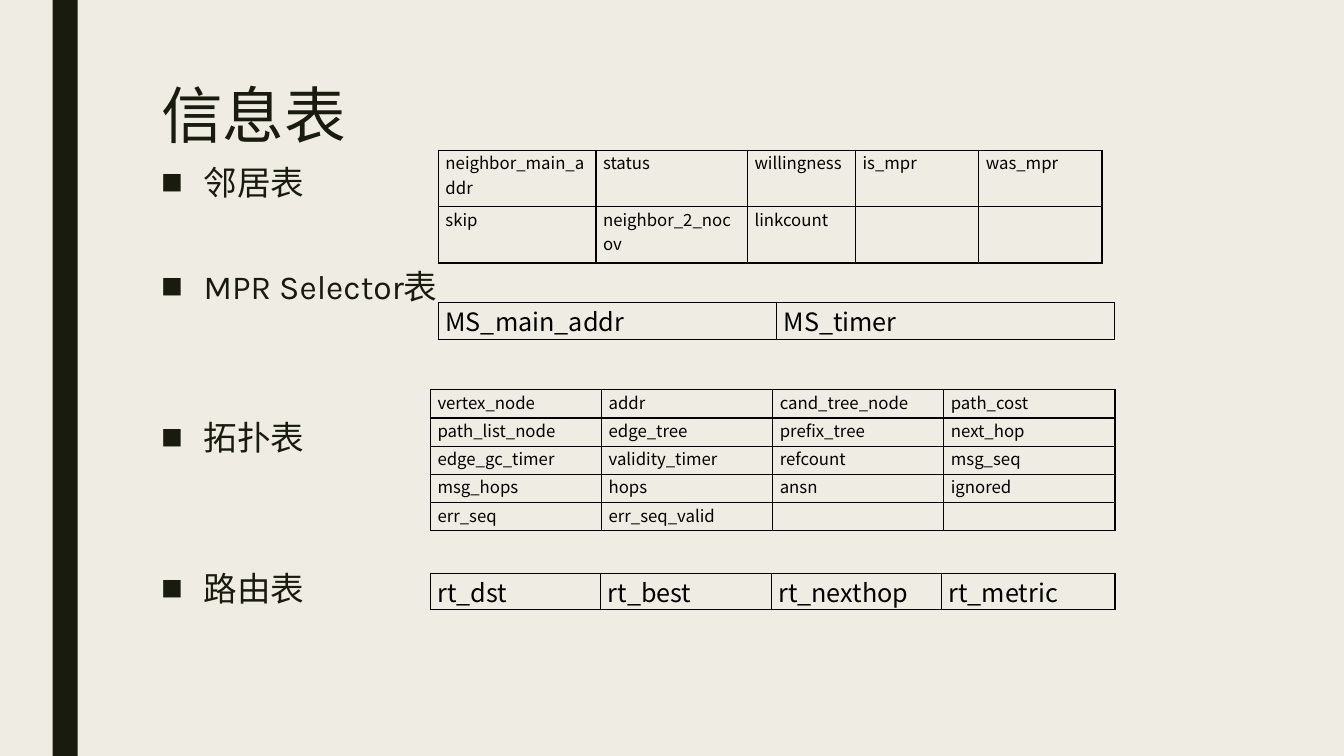
from lxml.etree import SubElement
from pptx import Presentation
from pptx.dml.color import RGBColor
from pptx.enum.shapes import MSO_SHAPE
from pptx.enum.text import MSO_ANCHOR, MSO_AUTO_SIZE
from pptx.oxml.ns import qn
from pptx.util import Inches, Pt

COLORS = {"paper": "EFEDE3", "ink": "191B0E", "border": "080000", "cell": "000000"}
LATIN, CJK = "Karla", "Noto Sans CJK SC"
UNIT = Inches(1 / 12)  # the slide is a grid of 160 columns by 90 rows

# Each list entry: name of the table, space before it in points
ENTRIES = [("邻居表", 0), ("MPR Selector表", 44), ("拓扑表", 78), ("路由表", 78)]

# Each field table: box in grid units, column weights, text size, rows
FIELD_TABLES = [
    ((52.2, 17.9, 79, 13.4), (1.56, 1.5, 1.07, 1.22, 1.22), 12, [
        ("neighbor_main_addr", "status", "willingness", "is_mpr", "was_mpr"),
        ("skip", "neighbor_2_nocov", "linkcount", "", ""),
    ]),
    ((52.2, 36, 80.5, 4.4), (1, 1), 18, [("MS_main_addr", "MS_timer")]),
    ((51.25, 46.4, 81.5, 16.8), (1, 1, 1, 1), 12, [
        ("vertex_node", "addr", "cand_tree_node", "path_cost"),
        ("path_list_node", "edge_tree", "prefix_tree", "next_hop"),
        ("edge_gc_timer", "validity_timer", "refcount", "msg_seq"),
        ("msg_hops", "hops", "ansn", "ignored"),
        ("err_seq", "err_seq_valid", "", ""),
    ]),
    ((51.25, 68.25, 81.5, 4.3), (1.69, 1.69, 1.69, 1.72), 18,
     [("rt_dst", "rt_best", "rt_nexthop", "rt_metric")]),
]


def color(name):
    return RGBColor.from_string(COLORS[name])


def grid(*lengths):
    return [round(length * UNIT) for length in lengths]


def add_run(paragraph, text, size, font, color_name):
    run = paragraph.add_run()
    run.text = text
    run.font.size = Pt(size)
    run.font.name = font
    run.font.color.rgb = color(color_name)
    SubElement(run.font._element, qn("a:ea"), typeface=CJK)


def place_placeholder(placeholder, box):
    placeholder.left, placeholder.top, placeholder.width, placeholder.height = grid(*box)
    frame = placeholder.text_frame
    frame.auto_size = MSO_AUTO_SIZE.NONE
    frame.vertical_anchor = MSO_ANCHOR.TOP
    frame.word_wrap = True
    return frame


def add_side_bar(slide, box):
    bar = slide.shapes.add_shape(MSO_SHAPE.RECTANGLE, *grid(*box))
    bar.shadow.inherit = False
    bar.fill.solid()
    bar.fill.fore_color.rgb = color("ink")
    bar.line.fill.background()


def fill_title(slide, box, text):
    heading = place_placeholder(slide.shapes.title, box).paragraphs[0]
    heading.alignment = 1
    heading.line_spacing = Pt(50)
    add_run(heading, text, 44, LATIN, "ink")


def set_square_bullet(paragraph):
    properties = paragraph._p.get_or_add_pPr()
    indent = Inches(0.42)
    properties.set("marL", str(indent))
    properties.set("indent", str(-indent))
    SubElement(properties, qn("a:buSzPct"), val="65000")
    SubElement(properties, qn("a:buFont"), typeface=CJK)
    SubElement(properties, qn("a:buChar"), char="■")


def fill_entries(slide, box, entries):
    frame = place_placeholder(slide.placeholders[1], box)
    for index, (name, gap) in enumerate(entries):
        entry = frame.add_paragraph() if index else frame.paragraphs[0]
        entry.line_spacing = Pt(28)
        entry.space_before = Pt(gap)
        entry.space_after = Pt(2)
        set_square_bullet(entry)
        add_run(entry, name, 24, LATIN, "ink")


def style_cell(cell):
    cell.margin_left = cell.margin_right = Inches(0.07)
    cell.margin_top = cell.margin_bottom = 0
    properties = cell._tc.get_or_add_tcPr()
    for side in ("lnL", "lnR", "lnT", "lnB"):
        border = SubElement(properties, qn(f"a:{side}"), w=str(Pt(1)))
        fill = SubElement(border, qn("a:solidFill"))
        SubElement(fill, qn("a:srgbClr"), val=COLORS["border"])
    cell.fill.background()


def add_field_table(slide, box, weights, size, rows):
    left, top, width, height = grid(*box)
    table = slide.shapes.add_table(len(rows), len(weights), left, top, width, height).table
    table.first_row = table.horz_banding = False
    for column, weight in zip(table.columns, weights):
        column.width = round(width * weight / sum(weights))
    for row_index, fields in enumerate(rows):
        for column_index, field in enumerate(fields):
            cell = table.cell(row_index, column_index)
            style_cell(cell)
            paragraph = cell.text_frame.paragraphs[0]
            if field:
                add_run(paragraph, field, size, CJK, "cell")
            else:
                SubElement(paragraph._p, qn("a:endParaRPr"), sz=str(size * 100))


def build_tables_slide(presentation):
    slide = presentation.slides.add_slide(presentation.slide_layouts[1])
    slide.background.fill.solid()
    slide.background.fill.fore_color.rgb = color("paper")
    add_side_bar(slide, (6.25, 0, 3, 90))
    fill_title(slide, (18, 9, 126, 19.5), "信息表")
    fill_entries(slide, (18, 18.85, 126, 58.2), ENTRIES)
    for field_table in FIELD_TABLES:
        add_field_table(slide, *field_table)


def main():
    presentation = Presentation()
    presentation.slide_width, presentation.slide_height = grid(160, 90)
    build_tables_slide(presentation)
    presentation.save("out.pptx")


if __name__ == "__main__":
    main()
